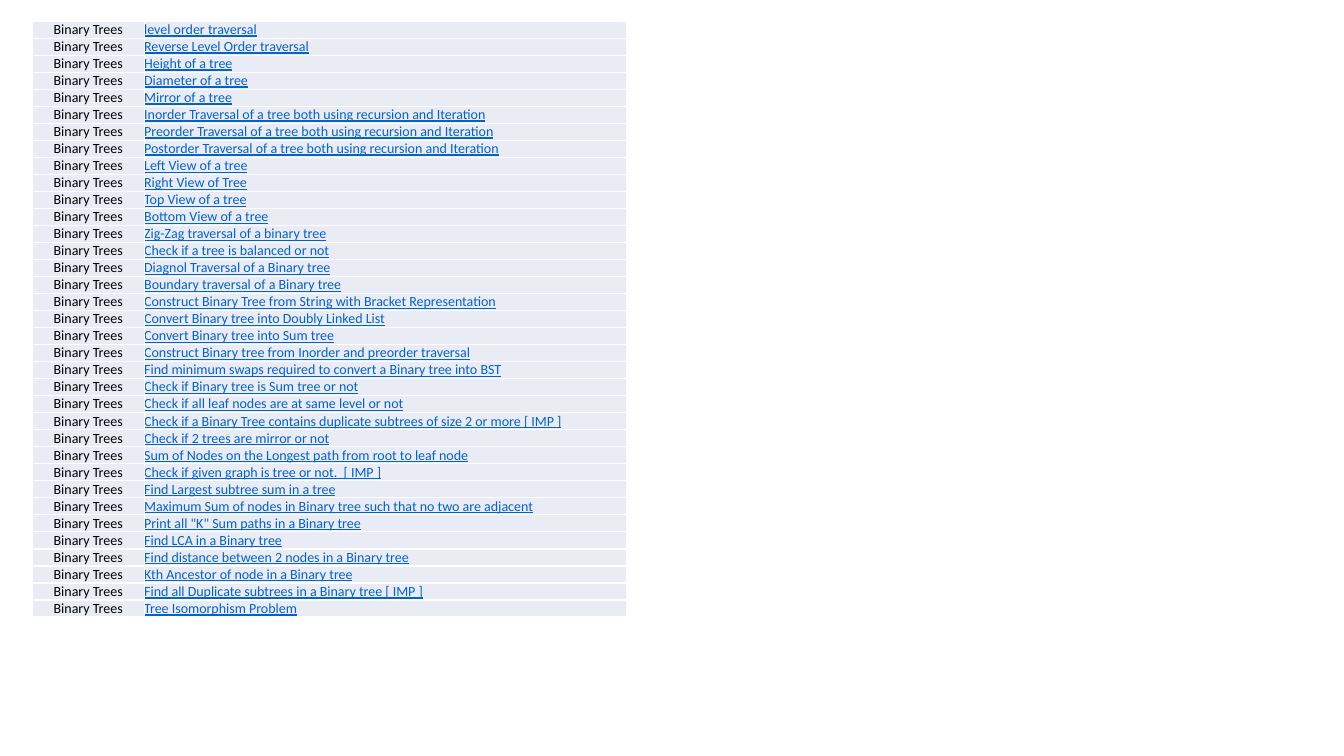
from pptx import Presentation
from pptx import util as u
from pptx.dml.color import RGBColor
from pptx.enum import text
from pptx.oxml import parse_xml
from pptx.oxml.ns import nsdecls

BAND = RGBColor(0xE9, 0xEB, 0xF5)
BLACK = RGBColor(0x00, 0x00, 0x00)
LINK = RGBColor(0x05, 0x63, 0xC1)
WHITE = RGBColor(0xFF, 0xFF, 0xFF)

TOPIC = "Binary Trees"
PROBLEMS = [
    "level order traversal",
    "Reverse Level Order traversal",
    "Height of a tree",
    "Diameter of a tree",
    "Mirror of a tree",
    "Inorder Traversal of a tree both using recursion and Iteration",
    "Preorder Traversal of a tree both using recursion and Iteration",
    "Postorder Traversal of a tree both using recursion and Iteration",
    "Left View of a tree",
    "Right View of Tree",
    "Top View of a tree",
    "Bottom View of a tree",
    "Zig-Zag traversal of a binary tree",
    "Check if a tree is balanced or not",
    "Diagnol Traversal of a Binary tree",
    "Boundary traversal of a Binary tree",
    "Construct Binary Tree from String with Bracket Representation",
    "Convert Binary tree into Doubly Linked List",
    "Convert Binary tree into Sum tree",
    "Construct Binary tree from Inorder and preorder traversal",
    "Find minimum swaps required to convert a Binary tree into BST",
    "Check if Binary tree is Sum tree or not",
    "Check if all leaf nodes are at same level or not",
    "Check if a Binary Tree contains duplicate subtrees of size 2 or more [ IMP ]",
    "Check if 2 trees are mirror or not",
    "Sum of Nodes on the Longest path from root to leaf node",
    "Check if given graph is tree or not.  [ IMP ]",
    "Find Largest subtree sum in a tree",
    "Maximum Sum of nodes in Binary tree such that no two are adjacent",
    'Print all "K" Sum paths in a Binary tree',
    "Find LCA in a Binary tree",
    "Find distance between 2 nodes in a Binary tree",
    "Kth Ancestor of node in a Binary tree",
    "Find all Duplicate subtrees in a Binary tree [ IMP ]",
    "Tree Isomorphism Problem",
]

prs = Presentation()
prs.slide_width = u.Inches(13.33)
prs.slide_height = u.Inches(7.5)
s = prs.slides.add_slide(prs.slide_layouts[6])

frame = s.shapes.add_table(len(PROBLEMS), 2, u.Inches(0.32), u.Inches(0.21),
                           u.Inches(5.89), u.Inches(5.97))
table = frame.table
table.first_row = False
table.horz_banding = False
table.columns[0].width = u.Inches(1.11)
table.columns[1].width = u.Inches(4.78)

for row, problem in zip(table.rows, PROBLEMS):
    row.height = u.Inches(0.14)
    topic_cell, problem_cell = row.cells
    for cell, label, color in ((topic_cell, TOPIC, BLACK), (problem_cell, problem, LINK)):
        cell.margin_left = cell.margin_right = cell.margin_top = cell.margin_bottom = 0
        cell.vertical_anchor = text.MSO_ANCHOR.BOTTOM
        for side in ("lnL", "lnR", "lnT", "lnB"):
            cell._tc.get_or_add_tcPr().append(parse_xml(
                f'<a:{side} {nsdecls("a")} w="{u.Pt(1)}"><a:solidFill>'
                f'<a:srgbClr val="{WHITE}"/></a:solidFill></a:{side}>'))
        cell.fill.solid()
        cell.fill.fore_color.rgb = BAND
        p = cell.text_frame.paragraphs[0]
        p.text = label
        p.font.name = "Calibri"
        p.font.size = u.Pt(10)
        p.font.color.rgb = color
    topic_cell.text_frame.paragraphs[0].alignment = text.PP_ALIGN.CENTER
    problem_cell.text_frame.paragraphs[0].font.underline = True

frame.height = u.Inches(5.97)

prs.save("out.pptx")
